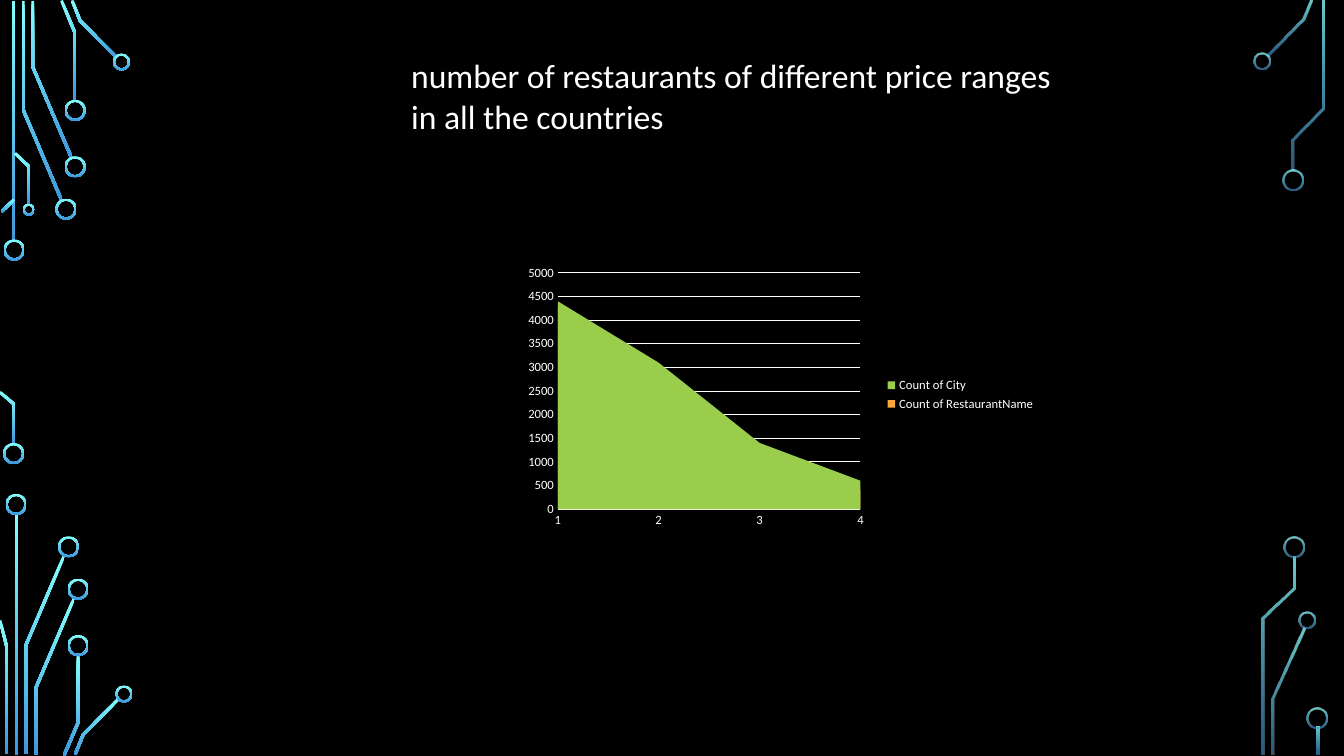
import math

from lxml import etree
from pptx import Presentation
from pptx import util as u
from pptx.chart import data
from pptx.dml import color
from pptx.enum import chart as charts
from pptx.enum import shapes
from pptx.oxml import ns

COLUMNS, ROWS = 1333, 750
CELL = u.Inches(7.5) / ROWS
FONT = "Calibri"
WHITE = "FFFFFF"
TRACE_WIDTH, RING_WIDTH = 2.8, 2
GRADIENT = ("82FFFF", "3D97DE")
LEFT_ALPHAS, RIGHT_ALPHAS = (100, 100), (80, 60)

LEFT_TRACES = [
    [(13.5, 1), (13.5, 240)],
    [(23, 1), (23, 109), (61, 198.5)],
    [(32.5, 1), (32.5, 66.5), (71, 156.5)],
    [(61, 0.5), (74.5, 33), (74.5, 100)],
    [(71.5, 0.5), (79.5, 20.5), (115.5, 57)],
    [(1.5, 210), (14, 198)],
    [(0, 389), (14, 401), (14, 441)],
    [(15, 152), (29, 165.5), (29, 203)],
    [(16.5, 510), (16.5, 749)],
    [(25.5, 748), (25.5, 640.5), (63.5, 551.5)],
    [(6.5, 748), (6.5, 641), (0, 615.5)],
    [(35.5, 749), (35.5, 682.5), (73.5, 593.5)],
    [(63.5, 749.5), (77.5, 717), (77.5, 650)],
    [(74.5, 748.5), (82.5, 729), (118, 693)],
]
RIGHT_TRACES = [
    [(1257, 55.5), (1292.5, 19.5), (1300.5, 0.5)],
    [(1262.5, 749), (1262.5, 693.5), (1293, 623.5)],
    [(1282, 169), (1282, 138.5), (1312.5, 107.5), (1312.5, 1)],
    [(1252.5, 749), (1252.5, 613.5), (1283.5, 583.5), (1283.5, 552)],
    [(1307.5, 721), (1307.5, 749)],
]
LEFT_RINGS = [
    (14, 248, 21), (13.5, 450, 21), (65.5, 207.5, 21), (74.5, 165.5, 21),
    (74.5, 109.5, 21), (120.5, 61.5, 17), (28.5, 208, 12), (16, 500.5, 21),
    (68, 542.5, 21), (77.5, 584.5, 21), (77.5, 640.5, 21), (123, 688.5, 17),
]
RIGHT_RINGS = [
    (1251.5, 60.5, 17), (1282.5, 178.5, 21), (1296.5, 615.5, 17),
    (1283, 542.5, 21), (1306.5, 712, 21),
]


def cells(*counts):
    """Turn counts of grid cells into lengths."""
    return [u.Emu(round(count * CELL)) for count in counts]


def rgb(value):
    """Turn a hex string into a colour."""
    return color.RGBColor.from_string(value)


def style_font(font, size):
    """Set the slide's white font at one size."""
    font.name = FONT
    font.size = u.Pt(size)
    font.color.rgb = rgb(WHITE)


def glow(shape, alphas):
    """Fill a shape with the downward circuit gradient."""
    shape.shadow.inherit = False
    shape.line.fill.background()
    shape.fill.gradient()
    shape.fill.gradient_angle = 270
    for stop, value, position in zip(shape.fill.gradient_stops, GRADIENT, (0, 1)):
        stop.color.rgb = rgb(value)
        stop.position = position
    for tint, alpha in zip(shape._element.iter(ns.qn("a:srgbClr")), alphas):
        if alpha < 100:
            etree.SubElement(tint, ns.qn("a:alpha"), val=str(alpha * 1000))


def ribbon(points):
    """Return the outline of a mitred band around a centre line."""
    angles = [math.atan2(y2 - y1, x2 - x1)
              for (x1, y1), (x2, y2) in zip(points, points[1:])]
    sides = [[], []]
    for (x, y), before, after in zip(points, angles[:1] + angles, angles + angles[-1:]):
        reach = TRACE_WIDTH / 2 / math.cos((after - before) / 2)
        normal = (before + after + math.pi) / 2
        for side, sign in zip(sides, (1, -1)):
            side.append((x + sign * reach * math.cos(normal),
                         y + sign * reach * math.sin(normal)))
    return sides[0] + sides[1][::-1]


def add_trace(slide, points, alphas):
    """Draw one circuit trace."""
    outline = [cells(*point) for point in ribbon(points)]
    builder = slide.shapes.build_freeform(*outline[0])
    builder.add_line_segments(outline[1:], close=True)
    glow(builder.convert_to_shape(), alphas)


def add_ring(slide, ring, alphas):
    """Draw the ring that ends a trace."""
    x, y, size = ring
    box = cells(x - size / 2, y - size / 2, size, size)
    shape = slide.shapes.add_shape(shapes.MSO_SHAPE.DONUT, *box)
    shape.adjustments[0] = RING_WIDTH / size
    glow(shape, alphas)


def add_title(slide, words):
    """Write the heading."""
    frame = slide.shapes.add_textbox(*cells(398, 50, 667, 91)).text_frame
    frame.word_wrap = True
    frame.text = words
    style_font(frame.paragraphs[0].runs[0].font, 24)


def place_plot(chart, **shares):
    """Fix the inner plot area as shares of the chart."""
    area = chart._chartSpace.find(".//" + ns.qn("c:plotArea"))
    for old in area.findall(ns.qn("c:layout")):
        area.remove(old)
    layout = etree.Element(ns.qn("c:layout"))
    manual = etree.SubElement(layout, ns.qn("c:manualLayout"))
    settings = {"layoutTarget": "inner", "xMode": "edge", "yMode": "edge", **shares}
    for name, value in settings.items():
        etree.SubElement(manual, ns.qn("c:" + name), val=str(value))
    area.insert(0, layout)
    for crossing in area.iter(ns.qn("c:crossBetween")):
        crossing.set("val", "midCat")


def style_axis(axis):
    """Give an axis its font and no tick marks."""
    axis.major_tick_mark = axis.minor_tick_mark = charts.XL_TICK_MARK.NONE
    style_font(axis.tick_labels.font, 9)


def white_line(line):
    """Make a thin white line."""
    line.color.rgb = rgb(WHITE)
    line.width = u.Pt(0.75)


def add_price_chart(slide):
    """Chart the restaurants in each price range."""
    counts = data.CategoryChartData()
    counts.categories = ["1", "2", "3", "4"]
    counts.add_series("Count of City", (4400, 3100, 1400, 600))
    counts.add_series("Count of RestaurantName", (4300, 2900, 1100, 400))
    chart = slide.shapes.add_chart(
        charts.XL_CHART_TYPE.AREA, *cells(481, 214, 556, 355), counts).chart
    chart.has_title = False
    style_font(chart.font, 10)
    chart.plots[0].vary_by_categories = False
    for series, value in zip(chart.plots[0].series, ("9ACD4C", "FAA93A")):
        series.format.fill.solid()
        series.format.fill.fore_color.rgb = rgb(value)
    categories, values = chart.category_axis, chart.value_axis
    for axis in (categories, values):
        style_axis(axis)
    categories.has_major_gridlines = False
    white_line(categories.format.line)
    values.minimum_scale, values.maximum_scale, values.major_unit = 0, 5000, 500
    values.format.line.fill.background()
    values.has_major_gridlines = True
    white_line(values.major_gridlines.format.line)
    chart.has_legend = True
    chart.legend.position = charts.XL_LEGEND_POSITION.RIGHT
    chart.legend.include_in_layout = False
    style_font(chart.legend.font, 9)
    place_plot(chart, x=0.13, y=0.16, w=0.54, h=0.66)


def main():
    """Build and save the slide."""
    presentation = Presentation()
    presentation.slide_width, presentation.slide_height = cells(COLUMNS, ROWS)
    slide = presentation.slides.add_slide(presentation.slide_layouts[6])
    slide.background.fill.solid()
    slide.background.fill.fore_color.rgb = rgb("000000")
    for traces, rings, alphas in ((LEFT_TRACES, LEFT_RINGS, LEFT_ALPHAS),
                                  (RIGHT_TRACES, RIGHT_RINGS, RIGHT_ALPHAS)):
        for points in traces:
            add_trace(slide, points, alphas)
        for ring in rings:
            add_ring(slide, ring, alphas)
    add_title(slide, "number of restaurants of different price ranges in all the countries")
    add_price_chart(slide)
    presentation.save("out.pptx")


if __name__ == "__main__":
    main()
